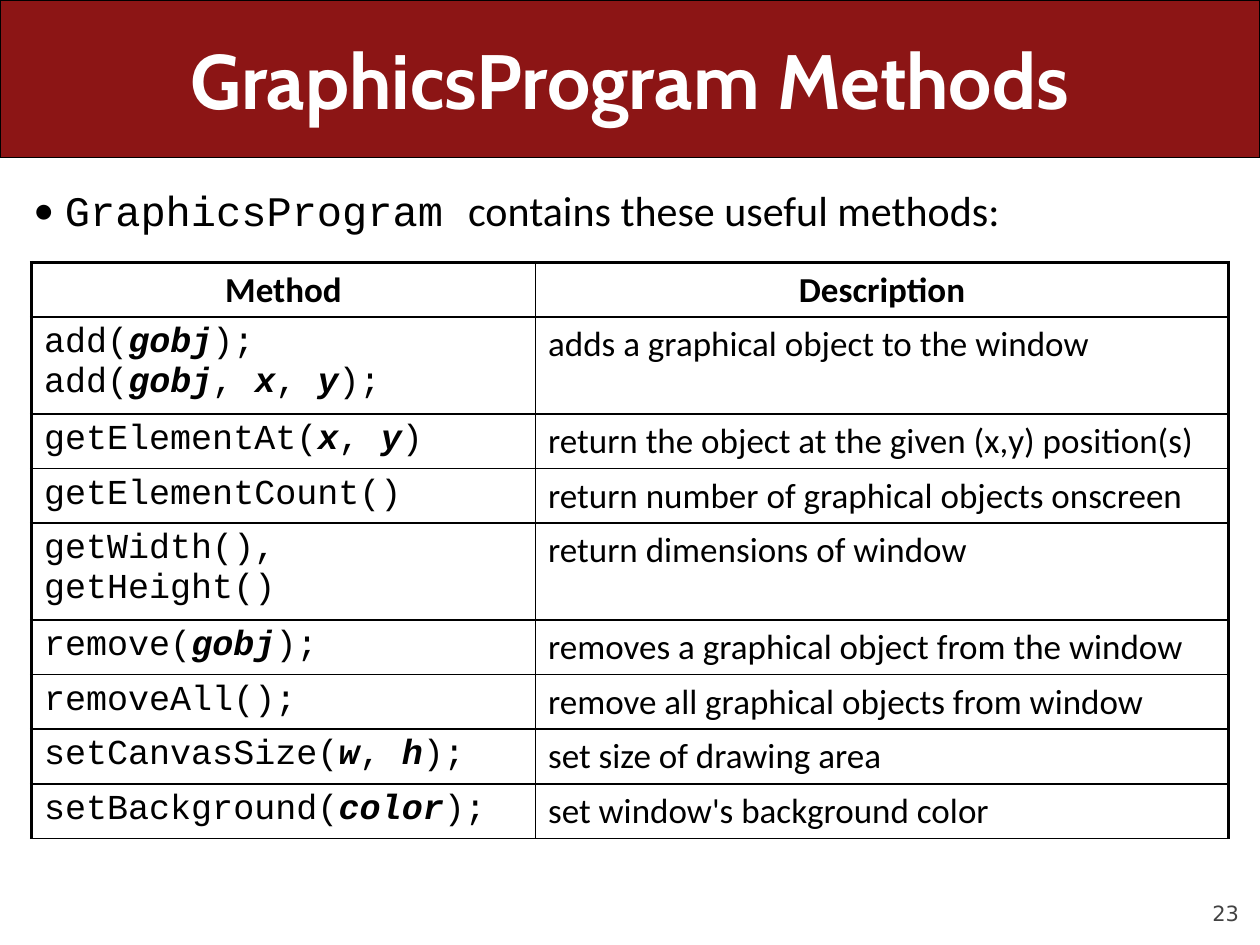
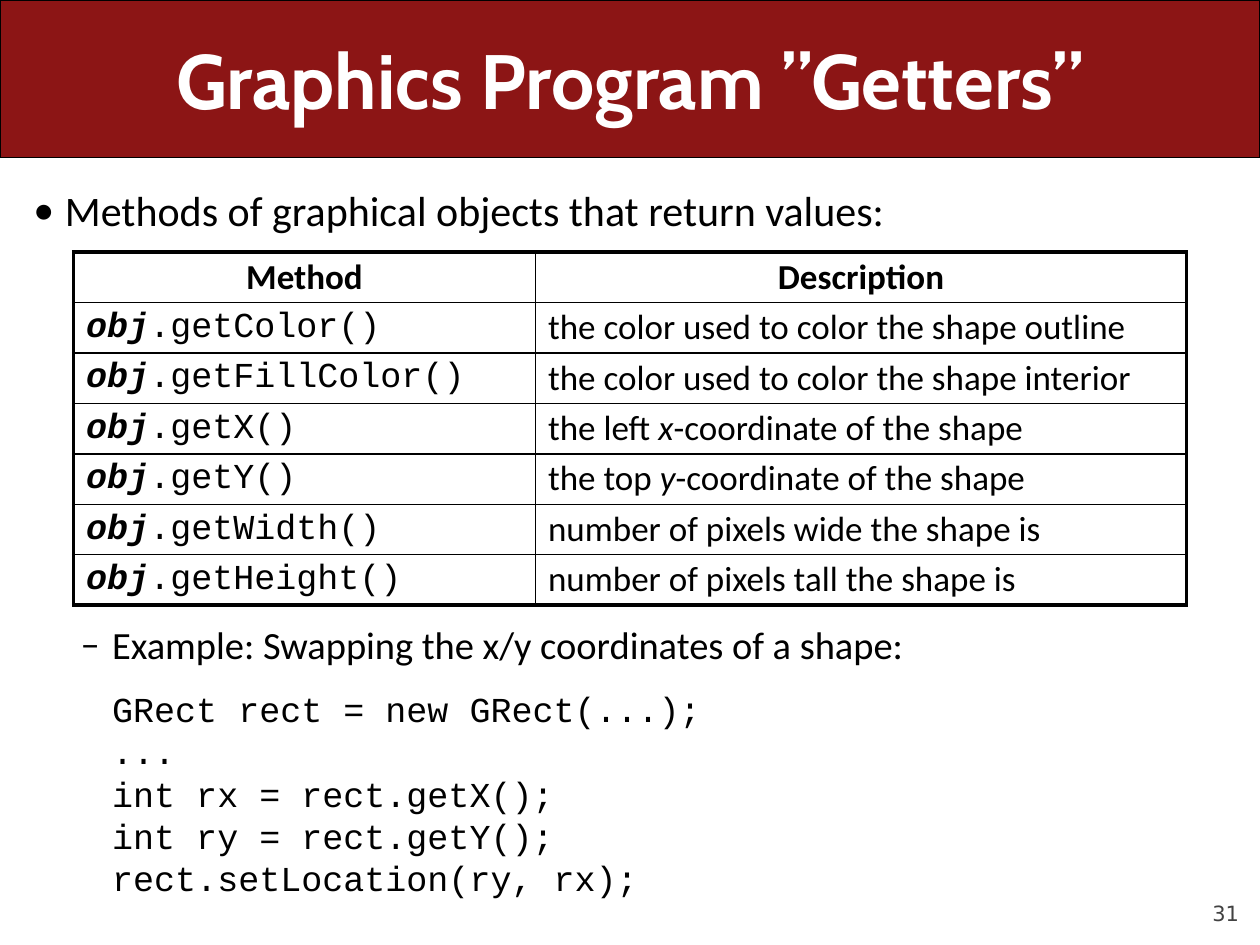
import lxml.etree
import pptx
import pptx.dml.color
import pptx.enum.shapes
import pptx.enum.text
import pptx.oxml.ns
import pptx.util

RGB = pptx.dml.color.RGBColor
ALIGN = pptx.enum.text.PP_ALIGN
ANCHOR = pptx.enum.text.MSO_ANCHOR

CARDINAL = RGB(0x8C, 0x15, 0x15)
BLACK = RGB(0, 0, 0)
WHITE = RGB(0xFF, 0xFF, 0xFF)
GRAY = RGB(0x42, 0x42, 0x42)

TITLE_FONT = "Cabin"
TEXT_FONT = "Calibri"
CODE_FONT = "Courier New"
NUMBER_FONT = "DejaVu Sans"

PX = 7620  # EMU in one px, 120 px to the inch
PAGE_WIDTH, PAGE_HEIGHT = 1200, 900
BAND_HEIGHT = 150
BODY_LEFT, BODY_WIDTH = 20, 1160
BULLET_HANG = 30
THIN, THICK = 1, 2.25  # table rules, in points


def px(*lengths):
    return [length * PX for length in lengths]


def add_xml(parent, tag, **attributes):
    return lxml.etree.SubElement(parent, pptx.oxml.ns.qn(tag), attributes)


class Lecture:
    """Holds the lecture style and the slide being built."""

    def __init__(self):
        self.deck = pptx.Presentation()
        self.deck.slide_width, self.deck.slide_height = px(PAGE_WIDTH, PAGE_HEIGHT)
        self.page = None

    # Frame shared by all slides
    def start_page(self, title, number):
        self.page = self.deck.slides.add_slide(self.deck.slide_layouts[6])
        self.number(number)
        self.band()
        box = self.box(60, 0, 1080, BAND_HEIGHT, ANCHOR.MIDDLE)
        self.set_text(box.paragraphs[0], title, TITLE_FONT, 44, WHITE,
                      bold=True, align=ALIGN.CENTER)

    def band(self):
        band = self.page.shapes.add_shape(
            pptx.enum.shapes.MSO_SHAPE.ROUNDED_RECTANGLE,
            *px(0, 0, PAGE_WIDTH, BAND_HEIGHT))
        band.adjustments[0] = 0
        band.shadow.inherit = False
        band.fill.solid()
        band.fill.fore_color.rgb = CARDINAL
        band.line.color.rgb = BLACK
        band.line.width = pptx.util.Pt(0.75)

    def number(self, number):
        box = self.box(1080, 834, 100, 48, ANCHOR.BOTTOM)
        box.margin_left = box.margin_right = box.margin_top = box.margin_bottom = 0
        self.set_text(box.paragraphs[0], str(number), NUMBER_FONT, 12, GRAY,
                      align=ALIGN.RIGHT)

    # Text
    def box(self, left, top, width, height, anchor=ANCHOR.TOP):
        frame = self.page.shapes.add_textbox(*px(left, top, width, height)).text_frame
        frame.word_wrap = True
        frame.vertical_anchor = anchor
        return frame

    def set_text(self, para, text, font, size, color=BLACK, bold=False, align=None):
        """Fill a paragraph; *stars* mark emphasis, bold as well in code."""
        para.alignment = align
        para.font.name = font
        para.font.size = pptx.util.Pt(size)
        para.font.color.rgb = color
        para.font.bold = bold
        for index, piece in enumerate(text.split("*")):
            for line_index, line in enumerate(piece.split("\n")):
                if line_index:
                    para.add_line_break()
                if not line:
                    continue
                span = para.add_run()
                span.text = line
                if index % 2:
                    span.font.italic = True
                    if font == CODE_FONT:
                        span.font.bold = True

    def indent(self, para, margin, bullet=None):
        properties = para._p.get_or_add_pPr()
        properties.set("marL", str(margin * PX))
        properties.set("indent", str(-BULLET_HANG * PX if bullet else 0))
        if bullet:
            add_xml(properties, "a:buFont", typeface=TEXT_FONT)
            add_xml(properties, "a:buChar", char=bullet)

    def bullet(self, text, code=""):
        para = self.box(BODY_LEFT, 170, BODY_WIDTH, 62).paragraphs[0]
        self.indent(para, BULLET_HANG, "•")
        if code:
            span = para.add_run()
            span.text = code
            span.font.name = CODE_FONT
        self.set_text(para, text, TEXT_FONT, 24)

    def example(self, top, caption, code):
        box = self.box(BODY_LEFT, top, BODY_WIDTH, 850 - top)
        para = box.paragraphs[0]
        self.indent(para, 75, "–")
        self.set_text(para, caption, TEXT_FONT, 22)
        for index, line in enumerate(code):
            para = box.add_paragraph()
            self.indent(para, 75)
            para.line_spacing = 0.8
            para.space_before = pptx.util.Pt(5 if index else 16)
            self.set_text(para, line, CODE_FONT, 20)

    # Table of methods
    def methods(self, top, widths, row_height, rows, spacing=1.0, closed=True):
        """Draw a centred table; closed gives it a thick bottom rule."""
        width, count = sum(widths), len(rows) + 1
        table = self.page.shapes.add_table(
            count, len(widths),
            *px((PAGE_WIDTH - width) // 2, top, width, row_height * count)).table
        table.first_row = table.horz_banding = False
        for column, column_width in zip(table.columns, widths):
            column.width = column_width * PX
        for row in table.rows:
            row.height = row_height * PX

        for row_index, texts in enumerate([("Method", "Description"), *rows]):
            header = row_index == 0
            last = row_index == count - 1
            for column_index, text in enumerate(texts):
                cell = table.cell(row_index, column_index)
                first = column_index == 0
                self.rules(cell,
                           L=THICK if first else THIN,
                           R=THIN if first else THICK,
                           T=THICK if header else THIN,
                           B=THICK if last and closed else THIN)
                para = cell.text_frame.paragraphs[0]
                para.line_spacing = spacing
                self.set_text(para, text,
                              CODE_FONT if first and not header else TEXT_FONT,
                              20, bold=header,
                              align=ALIGN.CENTER if header else None)

    def rules(self, cell, **weights):
        properties = cell._tc.get_or_add_tcPr()
        for side, weight in weights.items():
            rule = add_xml(properties, "a:ln" + side, w=str(int(pptx.util.Pt(weight))))
            add_xml(add_xml(rule, "a:solidFill"), "a:srgbClr", val=str(BLACK))
        cell.fill.background()


PROGRAM_METHODS = [
    ("add(*gobj*);\nadd(*gobj*, *x*, *y*);", "adds a graphical object to the window"),
    ("getElementAt(*x*, *y*)", "return the object at the given (x,y) position(s)"),
    ("getElementCount()", "return number of graphical objects onscreen"),
    ("getWidth(), getHeight()", "return dimensions of window"),
    ("remove(*gobj*);", "removes a graphical object from the window"),
    ("removeAll();", "remove all graphical objects from window"),
    ("setCanvasSize(*w*, *h*);", "set size of drawing area"),
    ("setBackground(*color*);", "set window's background color"),
]

GETTERS = [
    ("*obj*.getColor()", "the color used to color the shape outline"),
    ("*obj*.getFillColor()", "the color used to color the shape interior"),
    ("*obj*.getX()", "the left *x*-coordinate of the shape"),
    ("*obj*.getY()", "the top *y*-coordinate of the shape"),
    ("*obj*.getWidth()", "number of pixels wide the shape is"),
    ("*obj*.getHeight()", "number of pixels tall the shape is"),
]

SWAP_CODE = [
    "GRect rect = new GRect(...);",
    "...",
    "int rx = rect.getX();",
    "int ry = rect.getY();",
    "rect.setLocation(ry, rx);",
]


def main():
    lecture = Lecture()

    # Methods of the program
    lecture.start_page("GraphicsProgram Methods", 23)
    lecture.bullet("contains these useful methods:", code="GraphicsProgram ")
    lecture.methods(250, (480, 660), 52, PROGRAM_METHODS, closed=False)

    # Getters of graphical objects
    lecture.start_page("Graphics Program ”Getters”", 31)
    lecture.bullet("Methods of graphical objects that return values:")
    lecture.methods(240, (440, 620), 48, GETTERS, spacing=0.9)
    lecture.example(586, "Example: Swapping the x/y coordinates of a shape:", SWAP_CODE)

    lecture.deck.save("out.pptx")


if __name__ == "__main__":
    main()
